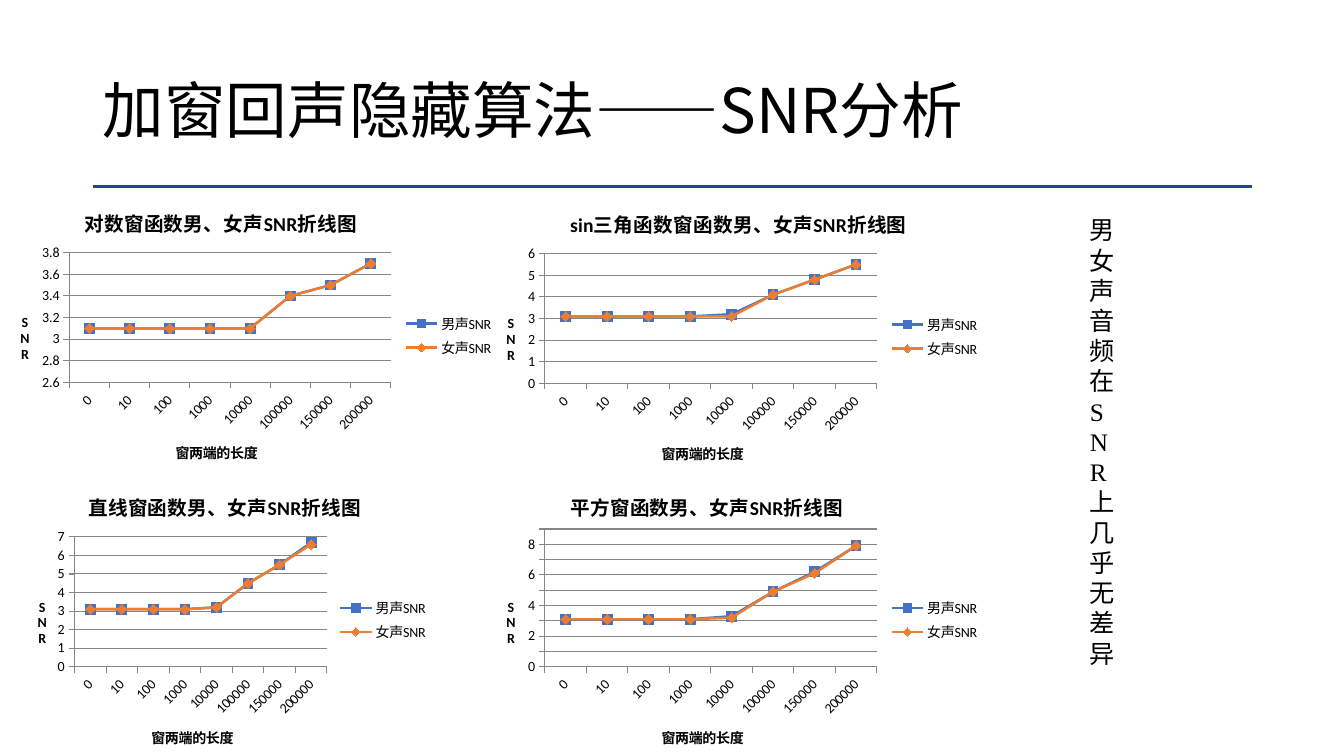
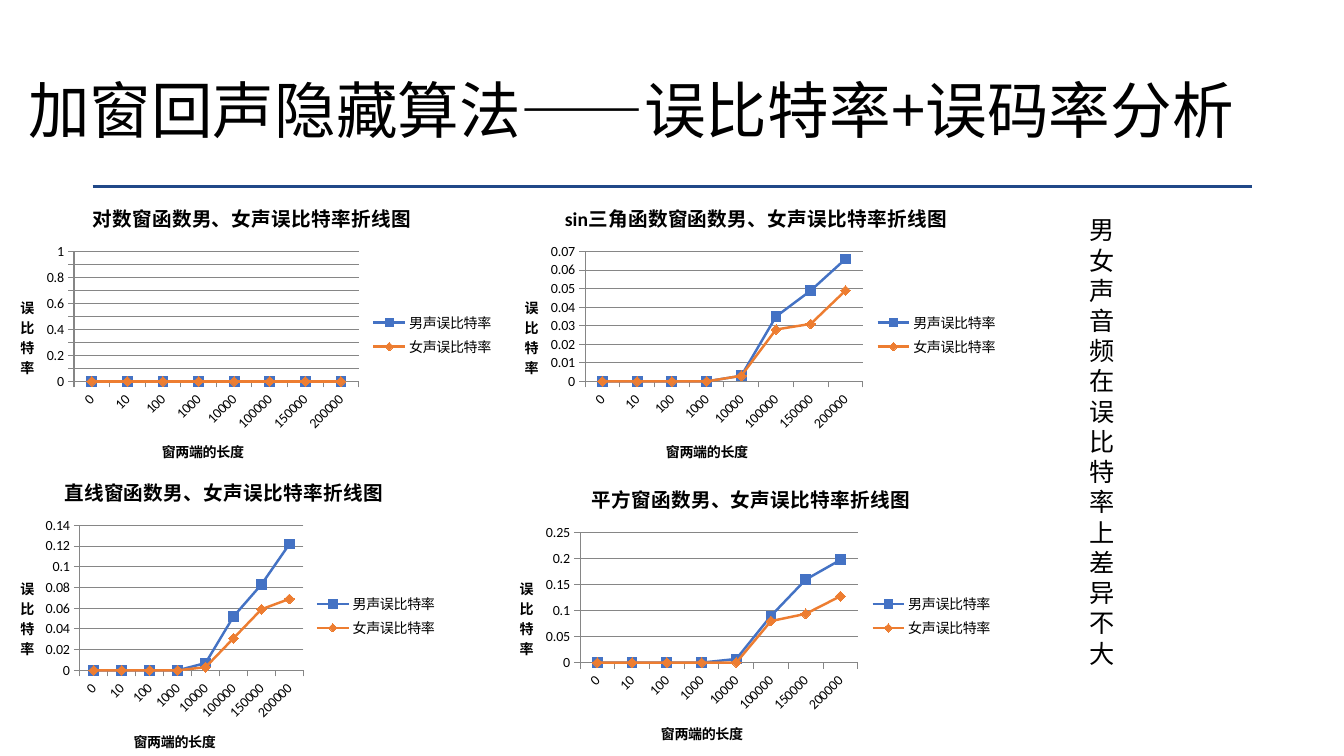
"""Build two slides of line charts comparing male and female voice results."""
from lxml.etree import SubElement
from pptx import Presentation
from pptx.chart.data import CategoryChartData
from pptx.dml.color import RGBColor
from pptx.enum.chart import XL_CHART_TYPE as ChartType, XL_LEGEND_POSITION as LegendSide
from pptx.enum.chart import XL_MARKER_STYLE as Marker, XL_TICK_MARK as Tick
from pptx.enum.shapes import MSO_CONNECTOR as Connector
from pptx.enum.text import MSO_ANCHOR as Anchor, MSO_AUTO_SIZE as AutoSize, PP_ALIGN as Align
from pptx.oxml import parse_xml
from pptx.oxml.ns import nsdecls, qn
from pptx.util import Inches, Pt

HAN, LATIN, SERIF = "Noto Sans CJK SC", "Calibri", "Times New Roman"
BLACK, RULE, GRID = "000000", "204888", "868686"
VOICES = (("男声", "4472C4", Marker.SQUARE), ("女声", "ED7D31", Marker.DIAMOND))
LENGTHS = ("0", "10", "100", "1000", "10000", "100000", "150000", "200000")
WINDOWS = ("对数窗函数", "sin三角函数窗函数", "直线窗函数", "平方窗函数")
FLAT, ZERO = [3.1] * 4, [0] * 4

SLIDES = [
    dict(
        title="加窗回声隐藏算法——SNR分析", title_left=0.92, title_width=11.5,
        measure="SNR", measure_font=SERIF, verdict="上几乎无差异", heading_at=(0.16, 0.05),
        boxes=[(0, 1.86, 5, 2.94), (4.82, 1.87, 5, 2.94),
               (0.17, 4.68, 4.18, 2.94), (4.82, 4.68, 5, 2.94)],
        scales=[(2.6, 3.8, 0.2), (0, 6, 1), (0, 7, 1), (0, 9, 1)],
        values=[
            (FLAT + [3.1, 3.4, 3.5, 3.7], FLAT + [3.1, 3.4, 3.5, 3.7]),
            (FLAT + [3.2, 4.1, 4.8, 5.5], FLAT + [3.1, 4.1, 4.8, 5.5]),
            (FLAT + [3.2, 4.5, 5.5, 6.7], FLAT + [3.2, 4.5, 5.5, 6.6]),
            (FLAT + [3.3, 4.9, 6.2, 7.9], FLAT + [3.2, 4.9, 6.1, 7.9]),
        ],
    ),
    dict(
        title="加窗回声隐藏算法——误比特率+误码率分析", title_left=0.18, title_width=12.98,
        measure="误比特率", measure_font=SERIF, verdict="上差异不大", heading_at=None,
        boxes=[(0, 1.85, 5, 2.94), (5, 1.85, 5, 2.94),
               (0, 4.56, 4.44, 3.1), (4.95, 4.64, 5, 2.94)],
        scales=[(0, 1, 0.1), (0, 0.07, 0.01), (0, 0.14, 0.02), (0, 0.25, 0.05)],
        values=[
            (ZERO * 2, ZERO * 2),
            (ZERO + [0.003, 0.035, 0.049, 0.066], ZERO + [0.003, 0.028, 0.031, 0.049]),
            (ZERO + [0.007, 0.052, 0.083, 0.122], ZERO + [0.003, 0.031, 0.059, 0.069]),
            (ZERO + [0.007, 0.09, 0.16, 0.198], ZERO + [0, 0.08, 0.094, 0.128]),
        ],
    ),
]


def color(value):
    """Turn a hex string into a colour."""
    return RGBColor.from_string(value)


def style(font, size, bold=False, name=LATIN):
    """Set the size, weight, face and colour of a font."""
    font.size, font.bold, font.name = Pt(size), bold, name
    font.color.rgb = color(BLACK)


def stroke(line, value, width):
    """Give a line its colour and width."""
    line.color.rgb = color(value)
    line.width = Pt(width)


def add_text(page, box, spans, size):
    """Add a wrapping one-paragraph text box and return its frame."""
    frame = page.shapes.add_textbox(*map(Inches, box)).text_frame
    frame.word_wrap = True
    for text, name in spans:
        span = frame.paragraphs[0].add_run()
        span.text = text
        style(span.font, size, name=name)
        SubElement(span.font._element, qn("a:ea"), typeface=HAN)
    return frame


def add_title(page, text, left, width):
    """Add the slide title and the rule below it."""
    frame = add_text(page, (left, 0.4, width, 1.45), [(text, HAN)], 44)
    frame.vertical_anchor = Anchor.MIDDLE
    frame.paragraphs[0].line_spacing = 0.9
    rule = page.shapes.add_connector(Connector.STRAIGHT, *map(Inches, (0.92, 1.85, 12.42, 1.85)))
    stroke(rule.line, RULE, 2)
    SubElement(rule.element.spPr, qn("a:effectLst"))


def add_verdict(page, measure, name, verdict):
    """Add the narrow column of text on the right."""
    spans = [("男女声音频在", HAN), (measure, name), (verdict, HAN)]
    frame = add_text(page, (10.71, 2.08, 0.39, 4.64), spans, 18)
    frame.auto_size = AutoSize.SHAPE_TO_FIT_TEXT
    frame.paragraphs[0].alignment = Align.JUSTIFY


def add_heading(owner, text, size):
    """Title a chart or an axis and return the text frame."""
    frame = owner.text_frame
    span = frame.paragraphs[0].add_run()
    span.text = text
    style(span.font, size, bold=True)
    return frame


def place_heading(heading, left, top):
    """Pin a chart title at shares of the chart's size."""
    layout = parse_xml(
        f'<c:layout {nsdecls("c")}><c:manualLayout><c:xMode val="edge"/><c:yMode val="edge"/>'
        f'<c:x val="{left}"/><c:y val="{top}"/></c:manualLayout></c:layout>')
    element = heading._element
    for former in element.findall(qn("c:layout")):
        element.remove(former)
    element.find(qn("c:tx")).addnext(layout)


def style_axes(chart, measure, scale):
    """Title, scale and colour both axes."""
    lengths, values = chart.category_axis, chart.value_axis
    for axis, text in ((lengths, "窗两端的长度"), (values, measure)):
        frame = add_heading(axis.axis_title, text, 10)
        style(axis.tick_labels.font, 10)
        axis.major_tick_mark, axis.minor_tick_mark = Tick.OUTSIDE, Tick.NONE
        stroke(axis.format.line, GRID, 0.75)
    frame._element.find(qn("a:bodyPr")).set("vert", "wordArtVert")
    lengths._element.find(qn("c:txPr")).find(qn("a:bodyPr")).set("rot", "-2700000")
    values.minimum_scale, values.maximum_scale, values.major_unit = scale
    values.has_major_gridlines = True
    stroke(values.major_gridlines.format.line, GRID, 0.75)


def add_line_chart(page, box, window, measure, scale, pair, heading_at):
    """Add one chart with a line for each voice."""
    data = CategoryChartData()
    data.categories = LENGTHS
    for (voice, _, _), numbers in zip(VOICES, pair):
        data.add_series(voice + measure, numbers)
    chart = page.shapes.add_chart(ChartType.LINE_MARKERS, *map(Inches, box), data).chart
    style(chart.font, 10)
    chart.has_title = True
    add_heading(chart.chart_title, f"{window}男、女声{measure}折线图", 14)
    chart.chart_title.include_in_layout = False
    if heading_at:
        place_heading(chart.chart_title, *heading_at)
    chart.has_legend = True
    chart.legend.position = LegendSide.RIGHT
    chart.legend.include_in_layout = False
    style(chart.legend.font, 10)
    style_axes(chart, measure, scale)
    chart.plots[0].vary_by_categories = False
    for series, (_, value, marker) in zip(chart.plots[0].series, VOICES):
        series.smooth = False
        stroke(series.format.line, value, 1.75)
        series.marker.style, series.marker.size = marker, 7
        series.marker.format.fill.solid()
        series.marker.format.fill.fore_color.rgb = color(value)
        stroke(series.marker.format.line, value, 0.75)


deck = Presentation()
deck.slide_width, deck.slide_height = Inches(13.33), Inches(7.5)
for content in SLIDES:
    page = deck.slides.add_slide(deck.slide_layouts[6])
    add_title(page, content["title"], content["title_left"], content["title_width"])
    for box, window, scale, pair in zip(
            content["boxes"], WINDOWS, content["scales"], content["values"]):
        add_line_chart(page, box, window, content["measure"], scale, pair, content["heading_at"])
    add_verdict(page, content["measure"], content["measure_font"], content["verdict"])
deck.save("out.pptx")
